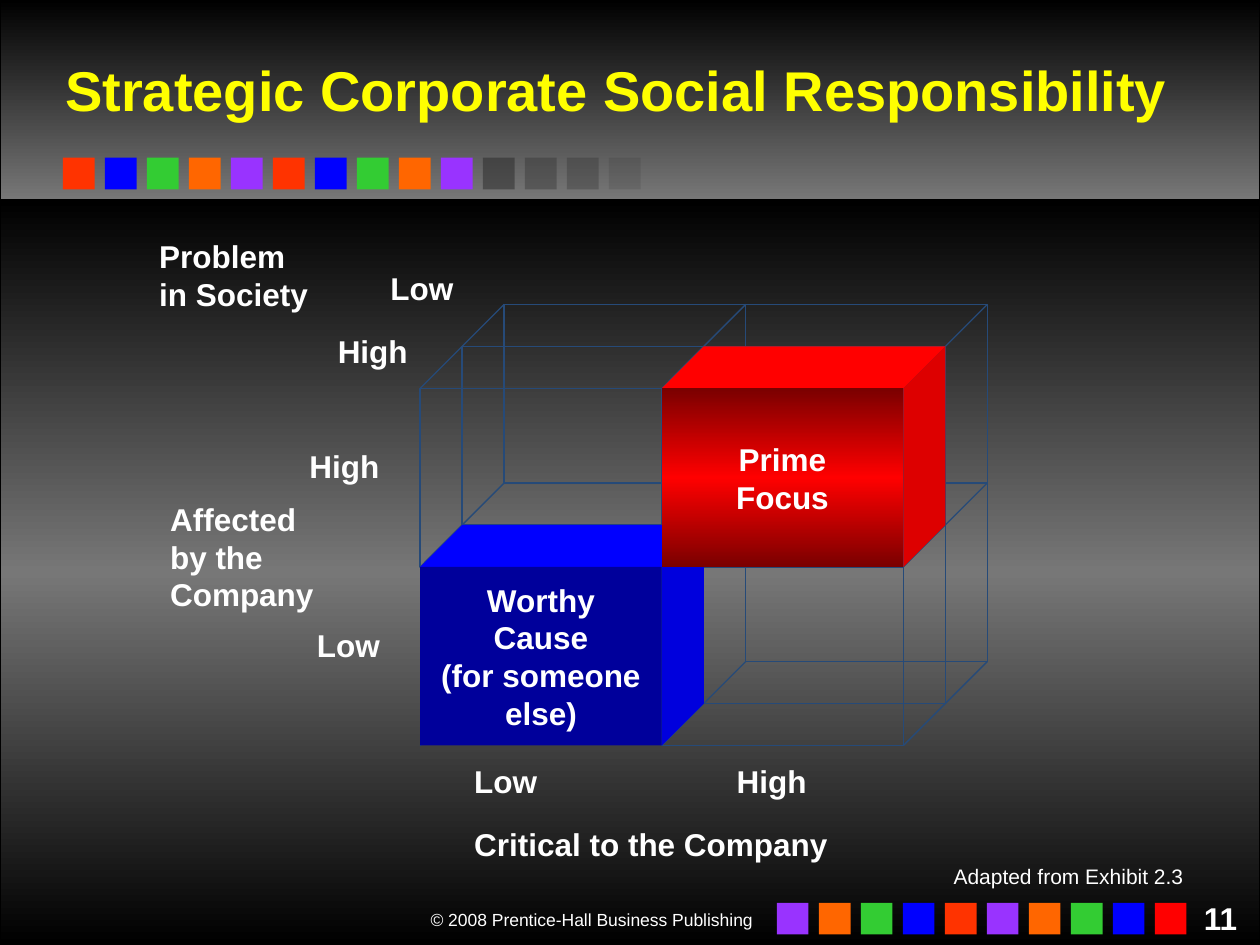
from dataclasses import dataclass
from itertools import product

from lxml import etree
from pptx import Presentation
from pptx import util as u
from pptx.dml import color as c
from pptx.enum import shapes, text
from pptx.oxml import ns

LEFT, CENTER, RIGHT = text.PP_ALIGN.LEFT, text.PP_ALIGN.CENTER, text.PP_ALIGN.RIGHT
PITCH = 2.54 / 3
GRID_LEFT, GRID_TOP = 8.47, 7.83
CELL_WIDTH, CELL_HEIGHT = 4.87, 3.6


@dataclass(frozen=True)
class Theme:
    """Colours and type sizes of the deck."""
    font: str = "Arial"
    title_size: int = 32
    label_size: int = 18
    source_size: int = 12
    footer_size: int = 10
    white: str = "FFFFFF"
    black: str = "000000"
    gray: str = "777777"
    faded: str = "292929"
    title: str = "FFFF00"
    wire: str = "264A78"
    orange_red: str = "FF3300"
    blue: str = "0000FF"
    green: str = "33CC33"
    orange: str = "FF6600"
    purple: str = "9933FF"
    red: str = "FF0000"
    blue_front: str = "00009B"
    blue_side: str = "0000DD"
    red_dark: str = "7A0000"
    red_side: str = "DD0000"


class Painter:
    """Draws styled elements on the current page, in centimetres."""

    def __init__(self, page, theme):
        self.page = page
        self.theme = theme

    def paint(self, shape, fill=None, line=None, width=0.75, alpha=None):
        shape.shadow.inherit = False
        if fill is None:
            shape.fill.background()
        elif isinstance(fill, list):
            self.gradient(shape, fill)
        else:
            shape.fill.solid()
            shape.fill.fore_color.rgb = c.RGBColor.from_string(fill)
        if alpha is not None:
            tint = shape._element.spPr.find(ns.qn("a:solidFill"))[0]
            etree.SubElement(tint, ns.qn("a:alpha"), val=str(alpha * 1000))
        if line is None:
            shape.line.fill.background()
        else:
            shape.line.color.rgb = c.RGBColor.from_string(line)
            shape.line.width = u.Pt(width)
        return shape

    def gradient(self, shape, colors):
        shape.fill.gradient()
        shape.fill.gradient_angle = 270
        stops = shape._element.spPr.find(ns.qn("a:gradFill")).find(ns.qn("a:gsLst"))
        for stop in list(stops):
            stops.remove(stop)
        for index, color in enumerate(colors):
            position = 100000 * index // (len(colors) - 1)
            stop = etree.SubElement(stops, ns.qn("a:gs"), pos=str(position))
            etree.SubElement(stop, ns.qn("a:srgbClr"), val=color)

    def rectangle(self, left, top, width, height, **style):
        box = self.page.shapes.add_shape(
            shapes.MSO_SHAPE.RECTANGLE, u.Cm(left), u.Cm(top), u.Cm(width), u.Cm(height))
        return self.paint(box, **style)

    def polygon(self, points, fill):
        corners = [(u.Cm(x), u.Cm(y)) for x, y in points]
        builder = self.page.shapes.build_freeform(*corners[0], scale=1.0)
        builder.add_line_segments(corners[1:], close=True)
        return self.paint(builder.convert_to_shape(), fill)

    def edge(self, start, end):
        line = self.page.shapes.add_connector(
            shapes.MSO_CONNECTOR.STRAIGHT, *(u.Cm(value) for value in start + end))
        line.line.color.rgb = c.RGBColor.from_string(self.theme.wire)
        line.line.width = u.Pt(0.75)
        etree.SubElement(line._element.spPr, ns.qn("a:effectLst"))

    def set_text(self, box, words, size, align=LEFT, bold=True, color=None,
                 anchor=text.MSO_ANCHOR.TOP, wrap=False, spacing=None):
        frame = box.text_frame
        frame.text = words
        frame.word_wrap = wrap
        frame.auto_size = text.MSO_AUTO_SIZE.NONE
        frame.vertical_anchor = anchor
        for para in frame.paragraphs:
            para.alignment = align
            para.line_spacing = spacing
            para.font.name = self.theme.font
            para.font.size = u.Pt(size)
            para.font.bold = bold
            para.font.color.rgb = c.RGBColor.from_string(color or self.theme.white)

    def label(self, words, left, top, width, height=1.02, size=None, **style):
        box = self.page.shapes.add_textbox(u.Cm(left), u.Cm(top), u.Cm(width), u.Cm(height))
        self.set_text(box, words, size or self.theme.label_size, **style)

    def title(self, words):
        box = self.page.shapes.title
        box.left, box.top = u.Cm(1.06), u.Cm(0.64)
        box.width, box.height = u.Cm(23.07), u.Cm(2.33)
        self.set_text(box, words, self.theme.title_size, color=self.theme.title,
                      anchor=text.MSO_ANCHOR.MIDDLE, wrap=True)
        self.page.shapes._spTree.append(box._element)
        span = box.text_frame.paragraphs[0].runs[0]
        effects = etree.SubElement(span._r.get_or_add_rPr(), ns.qn("a:effectLst"))
        shadow = etree.SubElement(effects, ns.qn("a:outerShdw"), dist="38100", dir="2700000")
        etree.SubElement(shadow, ns.qn("a:srgbClr"), val=self.theme.black)

    def squares(self, left, top, colors, alphas=None):
        for index, color in enumerate(colors):
            self.rectangle(left + index * PITCH, top, 0.64, 0.64, fill=color,
                           alpha=alphas[index] if alphas else None)

    def wireframe(self):
        for depth, row, column in product((2, 1, 0), (0, 1), (0, 1)):
            if (row, column) != (1, 0):
                self.rectangle(*grid_point(column, row, depth), CELL_WIDTH, CELL_HEIGHT,
                               line=self.theme.wire)
        for row, column in product(range(3), repeat=2):
            self.edge(grid_point(column, row, 0), grid_point(column, row, 2))

    def cube(self, column, row, words, front, top, side):
        near, far = ([grid_point(column + x, row + y, depth)
                      for x, y in ((0, 0), (1, 0), (1, 1))] for depth in (0, 1))
        self.polygon([near[0], far[0], far[1], near[1]], top)
        self.polygon([near[1], far[1], far[2], near[2]], side)
        face = self.rectangle(*near[0], CELL_WIDTH, CELL_HEIGHT, fill=front)
        self.set_text(face, words, self.theme.label_size, align=CENTER,
                      anchor=text.MSO_ANCHOR.MIDDLE)


def grid_point(column, row, depth):
    """Return the page position of a grid corner at a depth."""
    return (GRID_LEFT + column * CELL_WIDTH + depth * PITCH,
            GRID_TOP + row * CELL_HEIGHT - depth * PITCH)


def main():
    """Build the slide and save it."""
    deck = Presentation()
    deck.slide_width, deck.slide_height = u.Cm(25.4), u.Cm(19.05)
    theme = Theme()
    painter = Painter(deck.slides.add_slide(deck.slide_layouts[5]), theme)

    painter.rectangle(0, 0, 25.4, 4.02, fill=[theme.black, theme.gray], line=theme.black)
    painter.rectangle(0, 4.02, 25.4, 15.03, fill=[theme.black, theme.gray, theme.black],
                      line=theme.black)
    painter.title("Strategic Corporate Social Responsibility")

    rainbow = [theme.orange_red, theme.blue, theme.green, theme.orange, theme.purple]
    painter.squares(1.27, 3.18, rainbow * 2)
    painter.squares(1.27 + 10 * PITCH, 3.18, [theme.faded] * 4, (50, 35, 30, 15))
    painter.squares(15.66, 18.2, rainbow[::-1] + rainbow[:0:-1] + [theme.red])

    painter.wireframe()
    painter.cube(0, 1, "Worthy\nCause\n(for someone\nelse)",
                 theme.blue_front, theme.blue, theme.blue_side)
    painter.cube(1, 0, "Prime\nFocus", [theme.red_dark, theme.red, theme.red_dark],
                 theme.red, theme.red_side)

    for words, left, top, width, height in (
            ("Problem\nin Society", 2.96, 4.66, 3.5, 1.78),
            ("Low", 7.62, 5.29, 1.77, 1.02),
            ("High", 6.56, 6.56, 1.94, 1.02),
            ("Affected\nby the\nCompany", 3.18, 9.95, 3.41, 2.54),
            ("High", 5.99, 8.89, 1.94, 1.02),
            ("Low", 6.14, 12.49, 1.77, 1.02),
            ("Critical to the Company", 9.31, 16.51, 7.64, 1.02),
            ("Low", 9.31, 15.24, 1.77, 1.02),
            ("High", 14.6, 15.24, 1.94, 1.02)):
        painter.label(words, left, top, width, height)

    painter.label("Adapted from Exhibit 2.3", 17.99, 17.35, 6.12, 0.71, theme.source_size,
                  align=RIGHT, bold=False, wrap=True, spacing=0.9)
    painter.label("© 2008 Prentice-Hall Business Publishing", 7.42, 18.2, 8, 0.69,
                  theme.footer_size, align=RIGHT, bold=False, wrap=True)
    painter.label("11", 23.92, 17.99, 1.27, 0.43, align=RIGHT, wrap=True)
    deck.save("out.pptx")


if __name__ == "__main__":
    main()
